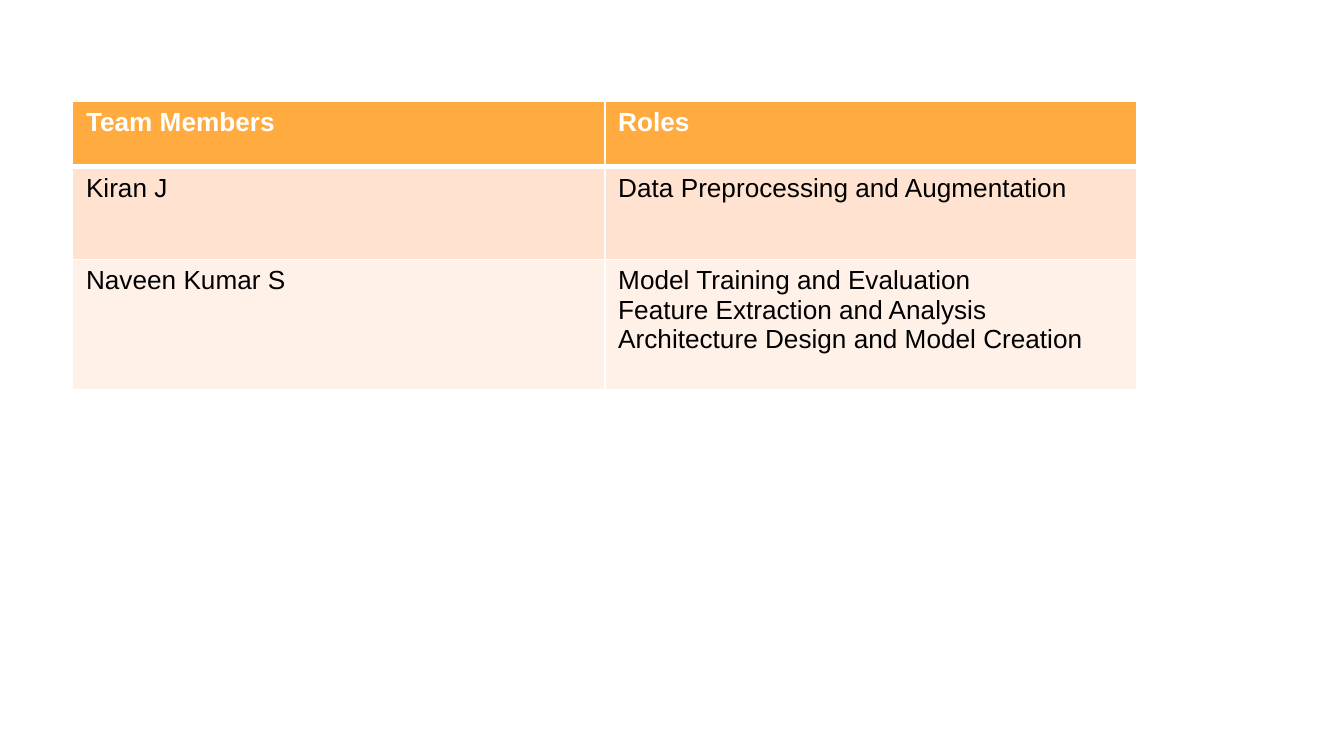
from pptx import Presentation
from pptx import util as u
from pptx.dml.color import RGBColor
from pptx.oxml import parse_xml
from pptx.oxml.ns import nsdecls

WHITE = RGBColor(0xFF, 0xFF, 0xFF)
BLACK = RGBColor(0x00, 0x00, 0x00)
ORANGE = RGBColor(0xFF, 0xAB, 0x40)
PEACH = RGBColor(0xFF, 0xE2, 0xCF)
CREAM = RGBColor(0xFF, 0xF1, 0xE8)

ROWS = [
    (0.49, ORANGE, [["Team Members"], ["Roles"]]),
    (0.69, PEACH, [["Kiran J"], ["Data Preprocessing and Augmentation"]]),
    (0.97, CREAM, [["Naveen Kumar S"], ["Model Training and Evaluation",
                                        "Feature Extraction and Analysis",
                                        "Architecture Design and Model Creation"]]),
]


class SlideBuilder:
    font = "Arial"
    size = u.Pt(14)

    def __init__(self, s):
        self.s = s

    def table(self, left, top, col_widths, rows):
        height = sum(h for h, _, _ in rows)
        sp = self.s.shapes.add_table(len(rows), len(col_widths), u.Inches(left), u.Inches(top),
                                     u.Inches(sum(col_widths)), u.Inches(height))
        tbl = sp.table
        for col, width in zip(tbl.columns, col_widths):
            col.width = u.Inches(width)
        for i, (row_height, fill, texts) in enumerate(rows):
            tbl.rows[i].height = u.Inches(row_height)
            for j, lines in enumerate(texts):
                self.cell(tbl.cell(i, j), lines, fill, header=i == 0)
                self.borders(tbl.cell(i, j), top=3 if i == 1 else 1, bottom=3 if i == 0 else 1)

    def cell(self, cell, lines, fill, header):
        cell.fill.solid()
        cell.fill.fore_color.rgb = fill
        tf = cell.text_frame
        for i, line in enumerate(lines):
            p = tf.add_paragraph() if i else tf.paragraphs[0]
            r = p.add_run()
            r.text = line
            r.font.name = self.font
            r.font.size = self.size
            r.font.bold = header
            r.font.color.rgb = WHITE if header else BLACK

    def borders(self, cell, top, bottom):
        tc_pr = cell._tc.get_or_add_tcPr()
        for i, (side, width) in enumerate(zip("LRTB", (1, 1, top, bottom))):
            tc_pr.insert(i, parse_xml(
                f'<a:ln{side} {nsdecls("a")} w="{u.Pt(width)}"><a:solidFill>'
                f'<a:srgbClr val="{WHITE}"/></a:solidFill></a:ln{side}>'))


def main():
    prs = Presentation()
    prs.slide_width = u.Inches(10)
    prs.slide_height = prs.slide_width * 9 // 16
    s = prs.slides.add_slide(prs.slide_layouts[6])
    s.background.fill.solid()
    s.background.fill.fore_color.rgb = WHITE
    SlideBuilder(s).table(0.54, 0.75, [3.96, 3.96], ROWS)
    prs.save("out.pptx")


if __name__ == "__main__":
    main()
